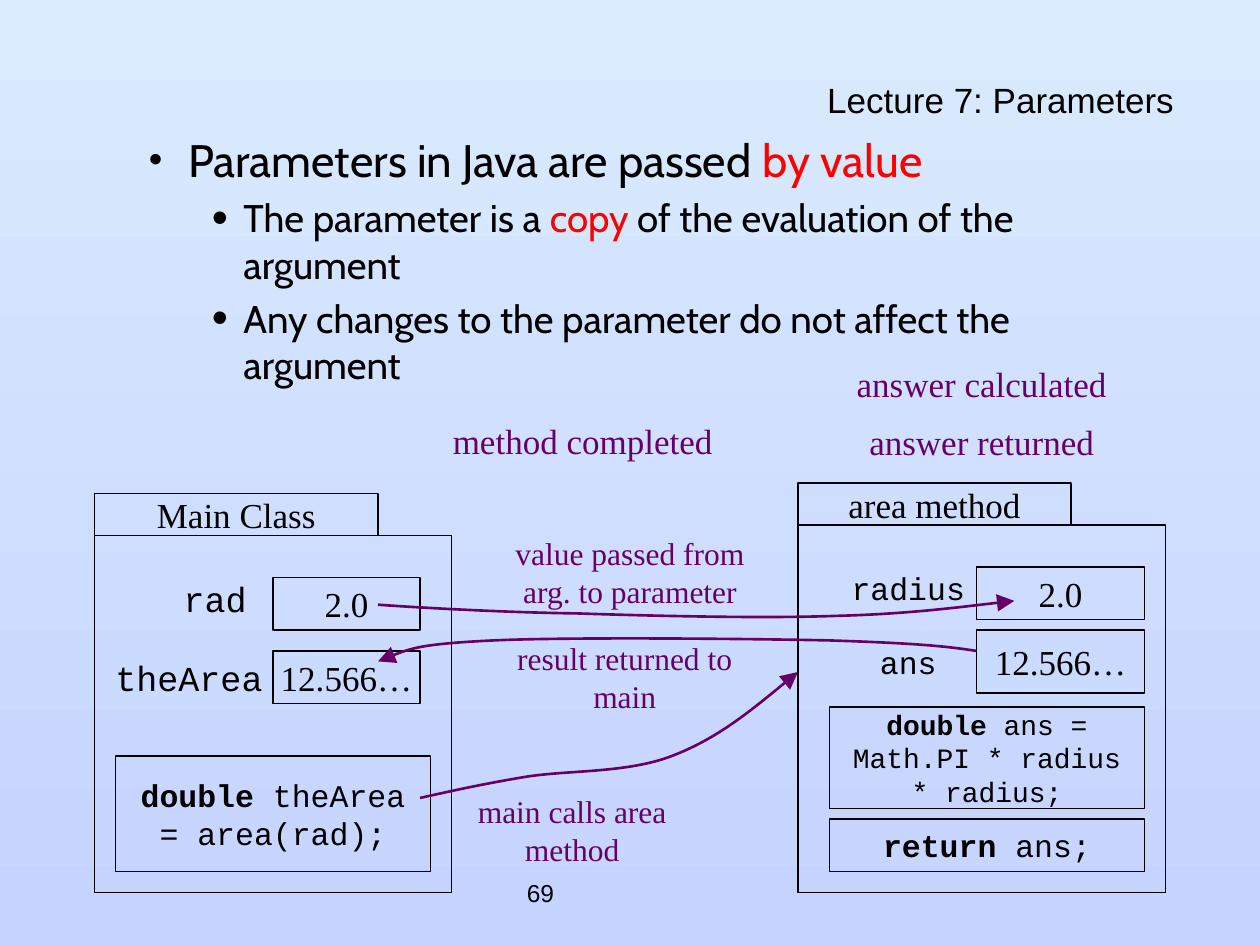
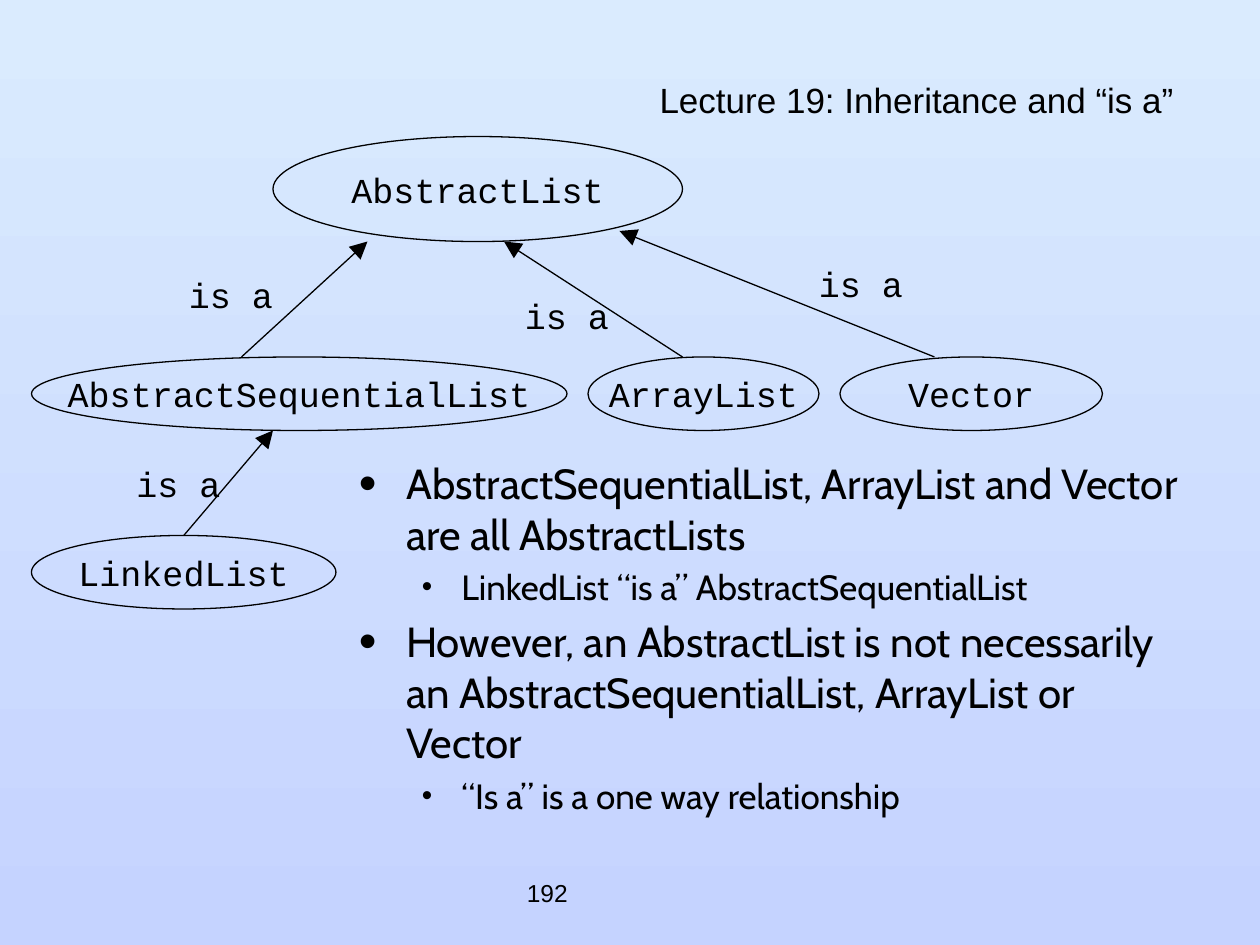
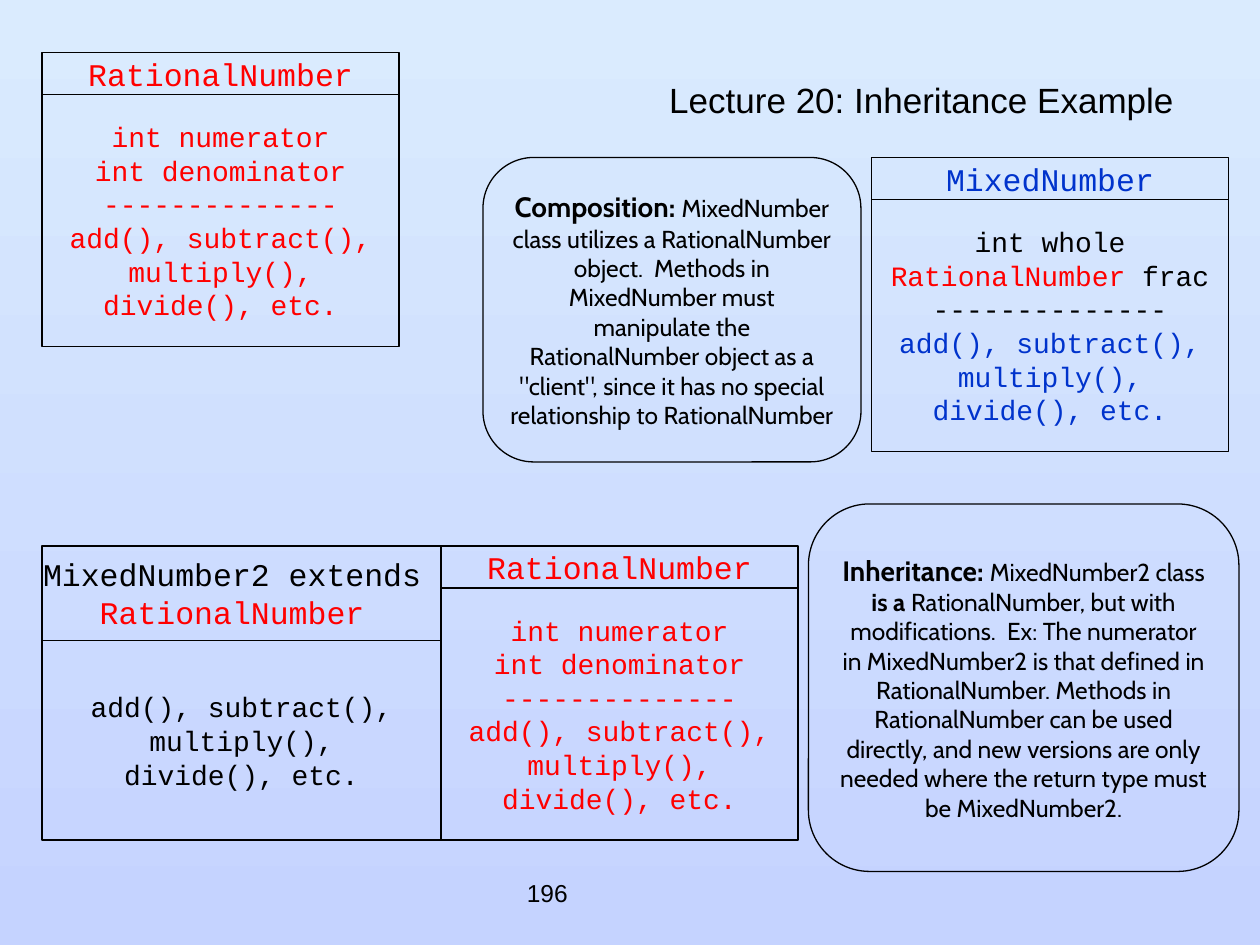
from lxml.etree import SubElement
from pptx import Presentation
from pptx.dml.color import RGBColor
from pptx.enum.shapes import MSO_CONNECTOR as Link, MSO_SHAPE as Form
from pptx.enum.text import MSO_ANCHOR as Anchor, PP_ALIGN as Align
from pptx.oxml.ns import qn
from pptx.util import Pt

hue = RGBColor.from_string
INK, RED, BLUE, PLUM = "000000", "FF0000", "0033CC", "660066"
SANS, BODY, MONO, SERIF = "Arial", "Cabin", "Courier New", "Times New Roman"
BOLD = {"bold": True}
LEVELS = [(27, 27, 120), (58.5, 22.5, 85), (90, 18, 120)]


def put(slide, form, spot, lines=(), size=20, face=MONO, tint=INK,
        wrap=False, align=Align.CENTER, anchor=Anchor.MIDDLE):
    spot = [Pt(n) for n in spot]
    if form is None:
        shape = slide.shapes.add_textbox(*spot)
    else:
        shape = slide.shapes.add_shape(form, *spot)
        shape.shadow.inherit = False
        shape.fill.background()
        shape.line.color.rgb = hue(INK)
        shape.line.width = Pt(0.75)
    frame = shape.text_frame
    frame.word_wrap = wrap
    frame.vertical_anchor = anchor
    if form is None and not wrap:
        frame.margin_left = frame.margin_right = 0
    for i, line in enumerate(lines):
        para = frame.add_paragraph() if i else frame.paragraphs[0]
        para.alignment = align
        for part in [line] if isinstance(line, str) else line:
            text, more = (part, {}) if isinstance(part, str) else part
            look = {"size": size, "tint": tint, "bold": False} | more
            run = para.add_run()
            run.text = text
            run.font.name = face
            run.font.size = Pt(look["size"])
            run.font.bold = look["bold"]
            run.font.color.rgb = hue(look["tint"])
    return shape


def arrow(shape, tint, width):
    shape.line.color.rgb = hue(tint)
    shape.line.width = Pt(width)
    props = shape.element.spPr
    SubElement(props.find(qn("a:ln")), qn("a:tailEnd"), type="triangle", w="lg", len="lg")
    SubElement(props, qn("a:effectLst"))


deck = Presentation()
deck.slide_width, deck.slide_height = Pt(720), Pt(540)
back = deck.slide_master.background.fill
back.gradient()
back.gradient_angle = 270
for stop, tint in zip(back.gradient_stops, ["DAEBFE", "C5D3FF"]):
    stop.color.rgb = hue(tint)

slides = []
for title, number in [
    ("Lecture 7: Parameters", "69"),
    ("Lecture 19: Inheritance and “is a”", "192"),
    ("Lecture 20: Inheritance Example", "196"),
]:
    slide = deck.slides.add_slide(deck.slide_layouts[6])
    put(slide, None, (294, 492, 150, 36), [number], 14, SANS, wrap=True, align=Align.LEFT)
    head = put(slide, None, (42, 48, 636, 24), [title], 20, SANS, wrap=True, align=Align.RIGHT)
    head.text_frame.paragraphs[0].line_spacing = 0.7
    slides.append(slide)
params, tree, cards = slides

for slide, spot, rows in [
    (params, (42, 72, 636, 408), [
        (1, 26, ["Parameters in Java are passed ", ("by value", {"tint": RED})]),
        (2, 22, ["The parameter is a ", ("copy", {"tint": RED}),
                 " of the evaluation of the argument"]),
        (2, 22, "Any changes to the parameter do not affect the argument"),
    ]),
    (tree, (198, 258, 486, 240), [
        (0, 24, "AbstractSequentialList, ArrayList and Vector are all AbstractLists"),
        (1, 20, "LinkedList “is a” AbstractSequentialList"),
        (0, 24, "However, an AbstractList is not necessarily an "
                "AbstractSequentialList, ArrayList or Vector"),
        (1, 20, "“Is a” is a one way relationship"),
    ]),
]:
    body = put(slide, None, spot, [row[2] for row in rows], face=BODY,
               wrap=True, align=Align.LEFT, anchor=Anchor.TOP)
    for para, (level, size, _) in zip(body.text_frame.paragraphs, rows):
        para.level = level
        for run in para.runs:
            run.font.size = Pt(size)
        left, hang, scale = LEVELS[level]
        props = para._p.get_or_add_pPr()
        props.set("marL", str(Pt(left)))
        props.set("indent", str(-Pt(hang)))
        space = SubElement(props, qn("a:spcBef"))
        SubElement(space, qn("a:spcPct"), val="20000")
        color = SubElement(props, qn("a:buClr"))
        SubElement(color, qn("a:srgbClr"), val=INK)
        SubElement(props, qn("a:buSzPct"), val=str(scale * 1000))
        SubElement(props, qn("a:buFont"), typeface=SANS)
        SubElement(props, qn("a:buChar"), char="•")

for spot, text in [
    ((54, 306, 204, 204), ""),
    ((54, 282, 162, 24), "Main Class"),
    ((156, 330, 84, 30), "2.0"),
    ((156, 372, 84, 30), "12.566…"),
    ((456, 300, 210, 210), ""),
    ((456, 276, 156, 24), "area method"),
    ((558, 324, 96, 30), "2.0"),
    ((558, 360, 96, 36), "12.566…"),
]:
    put(params, Form.RECTANGLE, spot, [text] if text else [], face=SERIF)

for spot, size, word, rest in [
    ((66, 432, 180, 66), 18, "double", " theArea = area(rad);"),
    ((474, 404, 180, 58), 16, "double", " ans = Math.PI * radius * radius;"),
    ((474, 468, 180, 30), 18, "return", " ans;"),
]:
    put(params, Form.RECTANGLE, spot, [[(word, BOLD), rest]], size, wrap=True)

for spot, size, text in [
    ((102, 324, 42, 36), 20, "rad"),
    ((63, 372, 90, 30), 20, "theArea"),
    ((484, 318, 70, 36), 18, "radius"),
    ((484, 360, 70, 36), 18, "ans"),
]:
    put(params, None, spot, [text], size)

for spot, size, text in [
    ((264, 444, 126, 60), 18, "main calls area method"),
    ((276, 300, 168, 54), 18, "value passed from arg. to parameter"),
    ((276, 360, 162, 54), 18, "result returned to main"),
    ((456, 204, 210, 30), 20, "answer calculated"),
    ((456, 240, 210, 24), 20, "answer returned"),
    ((252, 234, 162, 36), 20, "method completed"),
]:
    put(params, None, spot, [text], size, SERIF, PLUM, wrap=size == 18)

for start, *knots in [
    [(216, 345.6), (235, 347), (286, 350), (330, 350.6), (373, 352), (436, 353.5),
     (477, 352), (519, 351), (559, 345.6), (579.6, 343.4)],
    [(240, 456), (258, 452), (276, 448), (300, 444), (324, 440), (358, 442),
     (384, 432), (410, 422), (433, 403), (456, 384)],
    [(558, 372), (539, 369), (520, 367.5), (474, 366), (428, 365), (325, 364),
     (282, 366), (239, 368), (227.5, 373), (216, 378)],
]:
    pen = params.shapes.build_freeform(*[Pt(n) for n in start])
    pen.add_line_segments([(Pt(x), Pt(y)) for x, y in knots], close=False)
    curve = pen.convert_to_shape()
    curve.fill.background()
    steps = curve.element.findall(".//" + qn("a:lnTo"))
    track = steps[0].getparent()
    for i in range(0, len(steps), 3):
        bend = SubElement(track, qn("a:cubicBezTo"))
        for step in steps[i:i + 3]:
            bend.append(step[0])
            track.remove(step)
    arrow(curve, PLUM, 1.5)

nodes = {}
for name, spot in [
    ("AbstractList", (156, 78, 234, 60)),
    ("AbstractSequentialList", (18, 204, 306, 42)),
    ("ArrayList", (336, 204, 132, 42)),
    ("Vector", (480, 204, 150, 42)),
    ("LinkedList", (18, 306, 174, 42)),
]:
    nodes[name] = put(tree, Form.OVAL, spot, [name])

for ends, x, y in [
    ((138, 204, 210, 138), 102, 156),
    ((390, 204, 288, 138), 294, 168),
    ((534, 204, 354, 132), 462, 150),
    ((105, 306, 156, 246), 72, 264),
]:
    line = tree.shapes.add_connector(Link.STRAIGHT, *[Pt(n) for n in ends])
    arrow(line, INK, 0.75)
    put(tree, None, (x, y, 60, 24), ["is a"])
line.begin_connect(nodes["LinkedList"], 0)

rule = "--------------"
calls = ["add(), subtract(),", "multiply(),", "divide(), etc."]
ratio = ["int numerator", "int denominator", rule, *calls]
mixed = [("int whole", {"tint": INK}), ("RationalNumber", {"tint": RED}),
         (" frac", {"tint": INK}), (rule, {"tint": INK})]
mixed = [mixed[:1], mixed[1:3], mixed[3:], *calls]
for x, y, wide, top, tint, names, lines in [
    (24, 30, 204, 24, RED, ["RationalNumber"], ratio),
    (498, 90, 204, 24, BLUE, ["MixedNumber"], mixed),
    (24, 312, 228, 54, INK,
     ["MixedNumber2 extends ", [("RationalNumber ", {"tint": RED})]], calls),
    (252, 312, 204, 24, RED, ["RationalNumber"], ratio),
]:
    put(cards, Form.RECTANGLE, (x, y + top, wide, 168 - top), lines, 16, tint=tint)
    put(cards, Form.RECTANGLE, (x, y, wide, top), names, 18, tint=tint)

lead = {"bold": True, "size": 16}
for spot, parts in [
    ((276, 90, 216, 174), [
        ("Composition: ", lead),
        "MixedNumber class utilizes a RationalNumber object.  Methods in MixedNumber "
        "must manipulate the RationalNumber object as a \"client\", since it has no "
        "special relationship to RationalNumber",
    ]),
    ((462, 288, 246, 210), [
        ("Inheritance: ", lead), "MixedNumber2 class ", ("is a", BOLD),
        " RationalNumber, but with modifications.  Ex: The numerator in MixedNumber2 "
        "is that defined in RationalNumber. Methods in RationalNumber can be used "
        "directly, and new versions are only needed where the return type must be "
        "MixedNumber2.",
    ]),
]:
    put(cards, Form.ROUNDED_RECTANGLE, spot, [parts], 14, BODY, wrap=True)

deck.save("out.pptx")
